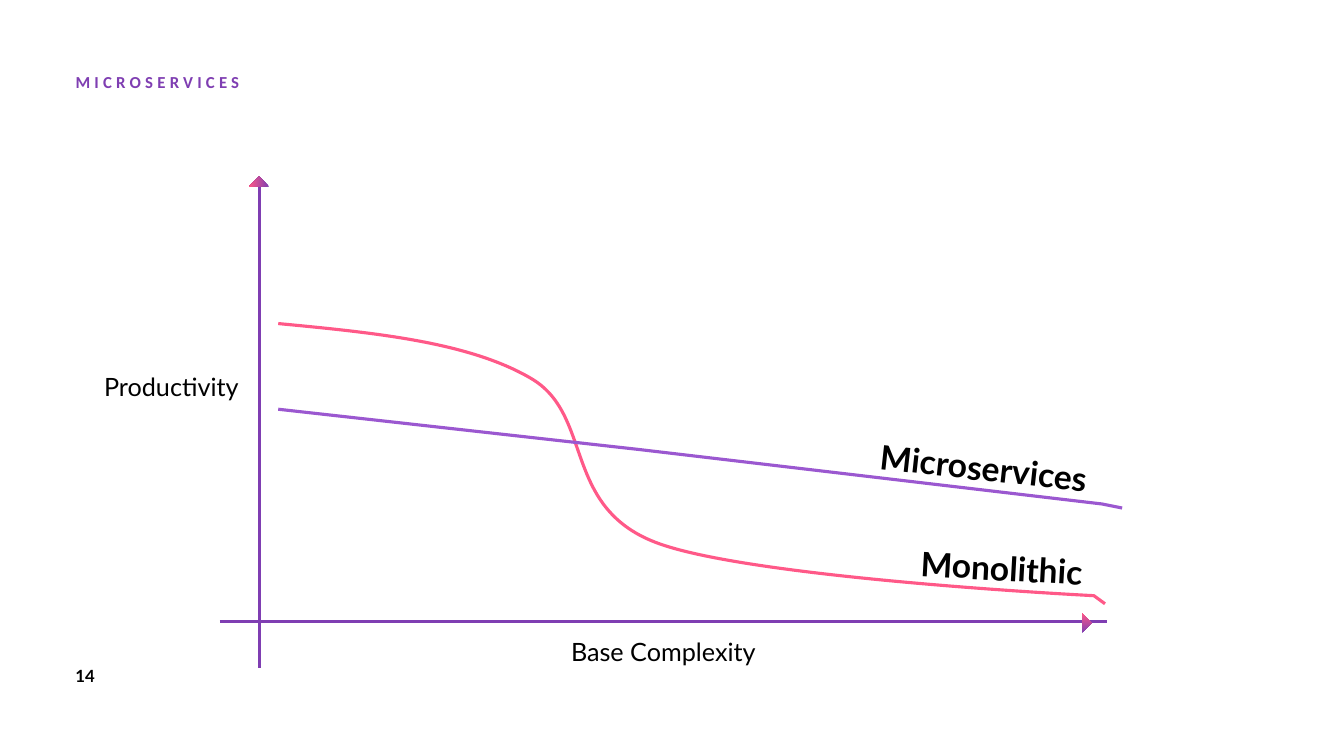
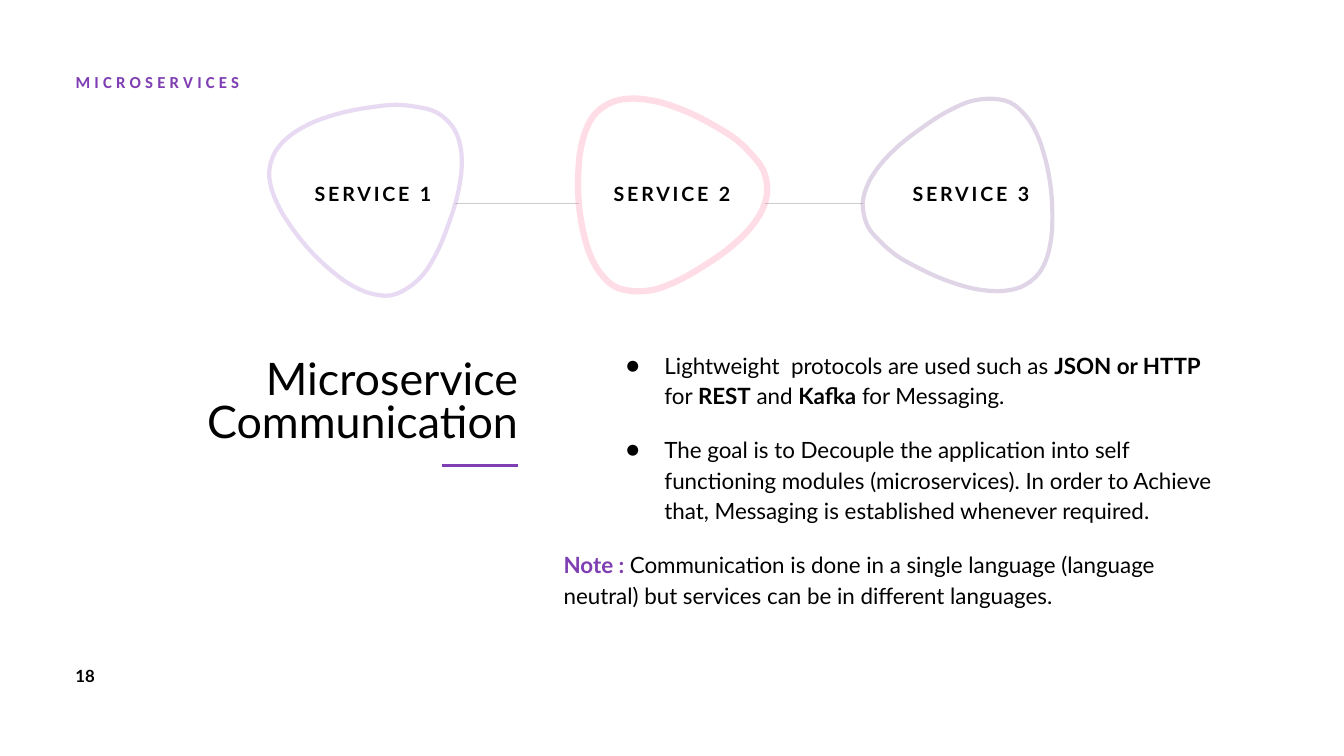
from math import cos, dist, radians, sin

from pptx import Presentation
from pptx.dml.color import RGBColor
from pptx.enum.shapes import MSO_CONNECTOR, MSO_SHAPE
from pptx.enum.text import MSO_ANCHOR, MSO_AUTO_SIZE, PP_ALIGN
from pptx.oxml.ns import qn
from pptx.util import Inches, Pt

LEFT, CENTER, RIGHT = PP_ALIGN.LEFT, PP_ALIGN.CENTER, PP_ALIGN.RIGHT
TOP, NO_FIT = MSO_ANCHOR.TOP, MSO_AUTO_SIZE.NONE
STRAIGHT, RIGHT_TRIANGLE = MSO_CONNECTOR.STRAIGHT, MSO_SHAPE.RIGHT_TRIANGLE

PURPLE, PINK, VIOLET = "7F3EB2", "FF5988", "9B58D0"
ORCHID, PLUM = "8A48BE", "5F2E86"
BLACK, WHITE = "000000", "FFFFFF"
TITLE_ONLY = 5

# Anchor points of the rounded service outline, around its centre
BLOB = [
    (-1.03, -0.28), (-0.96, -0.51), (-0.84, -0.64), (-0.65, -0.76),
    (-0.35, -0.87), (0.01, -0.94), (0.22, -0.96), (0.43, -0.94),
    (0.62, -0.89), (0.81, -0.71), (0.87, -0.53), (0.88, -0.36),
    (0.85, -0.12), (0.75, 0.22), (0.62, 0.53), (0.50, 0.72),
    (0.37, 0.84), (0.18, 0.93), (-0.03, 0.91), (-0.23, 0.82),
    (-0.42, 0.68), (-0.79, 0.28), (-0.94, 0.04), (-1.01, -0.14),
]


def rgb(color):
    return RGBColor.from_string(color)


def closed_spline(anchors):
    """Cubic segments of a smooth closed outline through all anchors."""
    count = len(anchors)
    tangents = []
    for i, here in enumerate(anchors):
        before, after = anchors[i - 1], anchors[(i + 1) % count]
        back, ahead = dist(before, here), dist(here, after)
        tangents.append([((h - b) * ahead / back + (a - h) * back / ahead) / (back + ahead)
                         for b, h, a in zip(before, here, after)])
    segments = []
    for i, start in enumerate(anchors):
        j = (i + 1) % count
        end = anchors[j]
        third = dist(start, end) / 3
        segments.append((
            tuple(p + t * third for p, t in zip(start, tangents[i])),
            tuple(p - t * third for p, t in zip(end, tangents[j])),
            end))
    return segments


def turned(points, angle, center):
    """Points rotated about the origin, then moved to the centre."""
    c, s = cos(radians(angle)), sin(radians(angle))
    return [(center[0] + x * c - y * s, center[1] + x * s + y * c)
            for x, y in points]


class Deck:
    font = "Lato"

    def __init__(self):
        self.prs = Presentation()
        self.prs.slide_width, self.prs.slide_height = Inches(13.33), Inches(7.5)
        self.slide = None

    def new_slide(self, number, title=None):
        """Slide with section label and number; the label is the title if none is given."""
        self.slide = self.prs.slides.add_slide(self.prs.slide_layouts[TITLE_ONLY])
        heading = self.slide.shapes.title
        self.text((0.75, 0.66, 2.2, 0.3), [[("MICROSERVICES", PURPLE, True)]],
                  size=12, inset=(0, 0.05), font="Calibri", spacing=3,
                  shape=None if title else heading)
        self.text((0.65, 6.56, 0.6, 0.3), [[(number, BLACK, True)]], size=12)
        if title:
            self.text((1.88, 3.58, 3.26, 0.86), [[(title, BLACK, False)]], size=32,
                      align=RIGHT, leading=0.8, inset=(0, 0), shape=heading)

    def text(self, box, paragraphs, size, align=LEFT, leading=1.0, inset=(0.1, 0.05),
             font=None, spacing=0, rotation=0, gap=0, bullets=0, shape=None):
        """Paragraphs are lists of (text, colour, bold); the first `bullets` get a dot."""
        shape = shape or self.slide.shapes.add_textbox(0, 0, 0, 0)
        shape.left, shape.top, shape.width, shape.height = map(Inches, box)
        shape.rotation = rotation
        frame = shape.text_frame
        frame.word_wrap, frame.auto_size, frame.vertical_anchor = True, NO_FIT, TOP
        frame.margin_left = frame.margin_right = Inches(inset[0])
        frame.margin_top = frame.margin_bottom = Inches(inset[1])
        for i, runs in enumerate(paragraphs):
            paragraph = frame.add_paragraph() if i else frame.paragraphs[0]
            paragraph.alignment, paragraph.line_spacing = align, leading
            paragraph.space_before = Pt(gap if i else 0)
            if i < bullets:
                self.bullet(paragraph, size)
            for words, color, bold in runs:
                run = paragraph.add_run()
                run.text = words
                run.font.name, run.font.size = font or self.font, Pt(size)
                run.font.bold, run.font.color.rgb = bold, rgb(color)
                if spacing:
                    run.font._element.set("spc", str(spacing * 100))
        return shape

    def bullet(self, paragraph, size):
        properties = paragraph._p.get_or_add_pPr()
        properties.set("marL", str(Inches(1)))
        properties.set("indent", str(Inches(-0.38)))
        for tag, attributes in (("a:buSzPts", {"val": str(size * 100)}),
                                ("a:buFont", {"typeface": self.font}),
                                ("a:buChar", {"char": "●"})):
            properties.append(properties.makeelement(qn(tag), attributes))

    def stroke(self, shape, color, width, opacity):
        shape.line.color.rgb, shape.line.width = rgb(color), Pt(width)
        if opacity < 100:
            tint = shape.element.xpath(".//a:ln//a:srgbClr")[0]
            tint.append(tint.makeelement(qn("a:alpha"), {"val": str(opacity * 1000)}))

    def line(self, start, end, color=PURPLE, width=2.0, opacity=100):
        connector = self.slide.shapes.add_connector(
            STRAIGHT, *map(Inches, (*start, *end)))
        self.stroke(connector, color, width, opacity)
        properties = connector.element.spPr
        properties.append(properties.makeelement(qn("a:effectLst"), {}))

    def outline(self, start, segments, color, width, opacity=100, closed=False):
        """A segment is one point for a line, or two controls and an end for a curve."""
        corners = [(Inches(x), Inches(y)) for segment in segments for x, y in segment]
        builder = self.slide.shapes.build_freeform(*map(Inches, start), scale=1.0)
        builder.add_line_segments(corners, close=closed)
        shape = builder.convert_to_shape()
        steps = iter(shape.element.xpath(".//a:lnTo"))
        for segment in segments:
            parts = [next(steps) for _ in segment]
            if len(parts) == 3:
                curve = parts[0].makeelement(qn("a:cubicBezTo"), {})
                parts[0].addprevious(curve)
                for part in parts:
                    curve.append(part[0])
                    part.getparent().remove(part)
        shape.shadow.inherit = False
        if closed:
            shape.fill.solid()
            shape.fill.fore_color.rgb = rgb(WHITE)
        else:
            shape.fill.background()
        self.stroke(shape, color, width, opacity)

    def axis_tip(self, left, top, rotation):
        tip = self.slide.shapes.add_shape(
            RIGHT_TRIANGLE, *map(Inches, (left, top, 0.14, 0.14)))
        tip.rotation, tip.shadow.inherit = rotation, False
        tip.line.fill.background()
        tip.fill.gradient()
        tip.fill.gradient_angle = 315
        for stop, color in zip(tip.fill.gradient_stops, (PURPLE, PINK)):
            stop.color.rgb = rgb(color)


def productivity_slide(deck):
    deck.new_slide("14")

    # Axes
    deck.line((2.57, 1.81), (2.57, 6.63), width=2.25)
    deck.line((2.18, 6.17), (10.98, 6.17), width=2.25)

    # Productivity curves
    monolithic = [
        ((3.7, 3.3), (4.64, 3.39), (5.26, 3.75)),
        ((5.89, 4.11), (5.57, 5.02), (6.5, 5.38)),
        ((7.43, 5.74), (10.85, 5.91), (10.85, 5.91)),
        ((10.96, 5.99),),
    ]
    microservices = [((6.34, 4.46),), ((10.93, 5),), ((11.13, 5.04),)]
    deck.outline((2.76, 3.21), monolithic, PINK, 2.25)
    deck.outline((2.76, 4.06), microservices, VIOLET, 2.25)

    # Curve and axis labels
    for name, left, top, rotation in (("Microservices", 8.62, 4.44, 6.3),
                                      ("Monolithic", 9.03, 5.44, 3.2)):
        deck.text((left, top, 2.37, 0.54), [[(name, BLACK, True)]], size=24,
                  leading=0.9, rotation=rotation)
    for name, left, top in (("Base Complexity", 5.1, 6.3), ("Productivity", 0.22, 3.67)):
        deck.text((left, top, 2.96, 0.54), [[(name, BLACK, False)]], size=18,
                  align=CENTER, leading=0.9)

    # Axis tips
    deck.axis_tip(10.66, 6.11, 225)
    deck.axis_tip(2.5, 1.78, 134.3)


def communication_slide(deck):
    deck.new_slide("18", "Microservice Communication")

    # Linked services
    deck.line((3.71, 2.02), (9.58, 2.02), BLACK, 0.5, opacity=20)
    blob = closed_spline(BLOB)
    services = (((3.7, 2), 0, ORCHID, 3),
                ((6.53, 2), 38, PINK, 4.5),
                ((9.63, 1.88), -145, PLUM, 3))
    for center, angle, color, width in services:
        start = turned(BLOB[:1], angle, center)[0]
        segments = [turned(segment, angle, center) for segment in blob]
        deck.outline(start, segments, color, width, opacity=20, closed=True)
    first_label, last_label = 2.74, 8.67
    label_step = (last_label - first_label) / 2
    for i in range(len(services)):
        deck.text((first_label + label_step * i, 1.85, 1.92, 0.19),
                  [[(f"SERVICE {i + 1}", BLACK, True)]], size=14, align=CENTER,
                  leading=0.8, inset=(0, 0), spacing=2)

    # Explanation
    deck.text((5.59, 3.45, 6.55, 3.07), [
        [("Lightweight  protocols are used such as ", BLACK, False),
         ("JSON or HTTP ", BLACK, True), ("for ", BLACK, False),
         ("REST", BLACK, True), (" and ", BLACK, False),
         ("Kafka", BLACK, True), (" for Messaging.", BLACK, False)],
        [("The goal is to Decouple the application into self functioning modules "
          "(microservices). In order to Achieve that, Messaging is established "
          "whenever required.", BLACK, False)],
        [("Note : ", PURPLE, True),
         ("Communication is done in a single language (language neutral) but "
          "services can be in different languages.", BLACK, False)],
    ], size=16, leading=1.15, inset=(0, 0), gap=16, bullets=2)

    # Rule under the title
    deck.line((4.38, 4.62), (5.14, 4.62))


def main():
    deck = Deck()
    productivity_slide(deck)
    communication_slide(deck)
    deck.prs.save("out.pptx")


if __name__ == "__main__":
    main()
